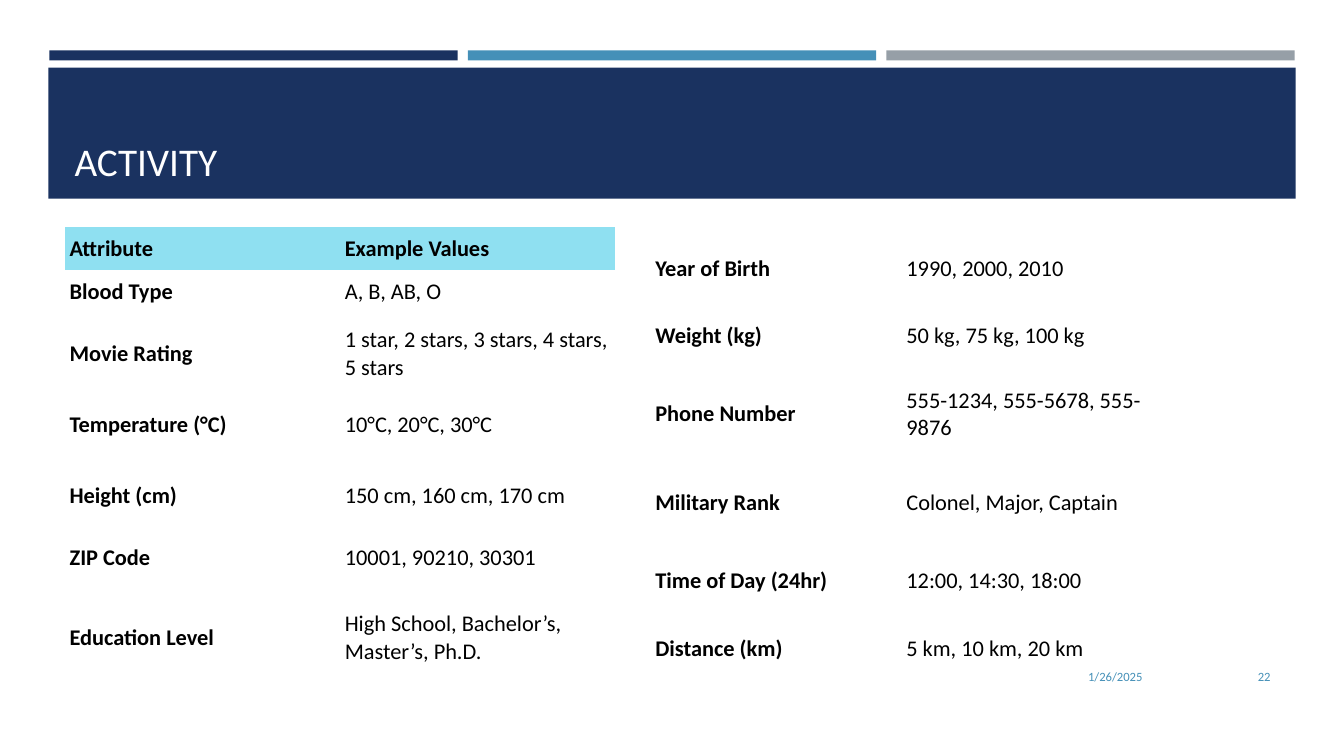
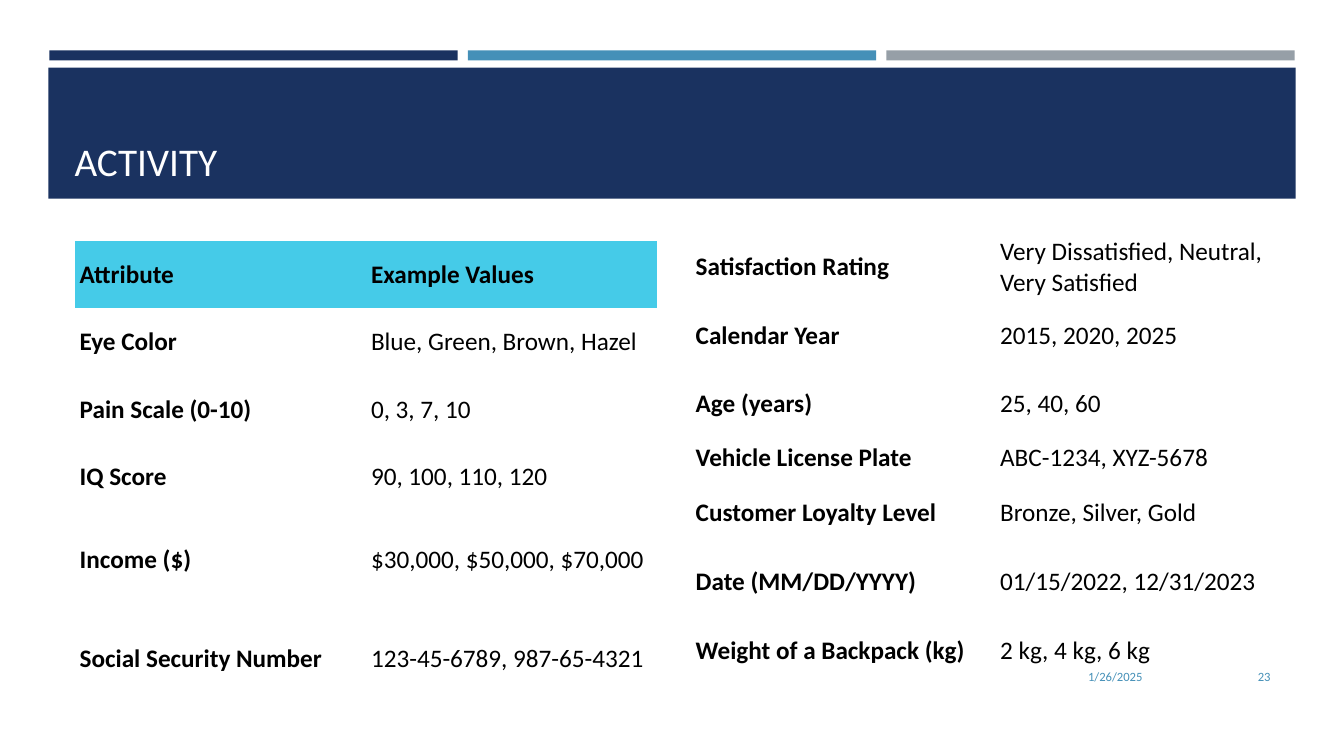
from pptx import Presentation
from pptx.dml.color import RGBColor
from pptx.enum.shapes import MSO_SHAPE
from pptx.enum.text import MSO_ANCHOR, MSO_AUTO_SIZE, PP_ALIGN
from pptx.util import Inches, Pt

RECTANGLE = MSO_SHAPE.RECTANGLE
MIDDLE, BOTTOM = MSO_ANCHOR.MIDDLE, MSO_ANCHOR.BOTTOM
LEFT, RIGHT = PP_ALIGN.LEFT, PP_ALIGN.RIGHT
NO_AUTOFIT = MSO_AUTO_SIZE.NONE

NAVY = RGBColor(0x1A, 0x32, 0x60)
BLUE = RGBColor(0x45, 0x90, 0xB8)
GRAY = RGBColor(0x96, 0x9F, 0xA7)
PALE_CYAN = RGBColor(0x8F, 0xE0, 0xF1)
CYAN = RGBColor(0x45, 0xCB, 0xE8)
WHITE = RGBColor(0xFF, 0xFF, 0xFF)
BLACK = RGBColor(0, 0, 0)

FONT = "Calibri"
PLAIN_TABLE_STYLE = "{2D5ABB26-0587-4C30-8999-92F81FD0307C}"
DATE = "1/26/2025"
HEADING = ("Attribute", "Example Values")

# Content: each table row is (attribute, example values, row height)
ACTIVITIES = [
    {
        "title": "ACTIVITY", "number": "22", "size": 16, "margin": 0.02,
        "tables": [
            {"left": 0.64, "top": 2.25, "column": 2.73, "heading_fill": PALE_CYAN, "rows": [
                (*HEADING, 0.43),
                ("Blood Type", "A, B, AB, O", 0.43),
                ("Movie Rating", "1 star, 2 stars, 3 stars, 4 stars, 5 stars", 0.8),
                ("Temperature (°C)", "10°C, 20°C, 30°C", 0.61),
                ("Height (cm)", "150 cm, 160 cm, 170 cm", 0.8),
                ("ZIP Code", "10001, 90210, 30301", 0.43),
                ("Education Level", "High School, Bachelor’s, Master’s, Ph.D.", 1.16),
            ]},
            {"left": 6.45, "top": 2.33, "column": 2.49, "heading_fill": None, "rows": [
                ("Year of Birth", "1990, 2000, 2010", 0.67),
                ("Weight (kg)", "50 kg, 75 kg, 100 kg", 0.67),
                ("Phone Number", "555-1234, 555-5678, 555-9876", 0.88),
                ("Military Rank", "Colonel, Major, Captain", 0.88),
                ("Time of Day (24hr)", "12:00, 14:30, 18:00", 0.67),
                ("Distance (km)", "5 km, 10 km, 20 km", 0.67),
            ]},
        ],
    },
    {
        "title": "ACTIVITY", "number": "23", "size": 18, "margin": 0.03,
        "tables": [
            {"left": 0.74, "top": 2.39, "column": 2.89, "heading_fill": CYAN, "rows": [
                (*HEADING, 0.67),
                ("Eye Color", "Blue, Green, Brown, Hazel", 0.67),
                ("Pain Scale (0-10)", "0, 3, 7, 10", 0.67),
                ("IQ Score", "90, 100, 110, 120", 0.67),
                ("Income ($)", "$30,000, $50,000, $70,000", 0.98),
                ("Social Security Number", "123-45-6789, 987-65-4321", 0.98),
            ]},
            {"left": 6.85, "top": 2.3, "column": 3.02, "heading_fill": None, "rows": [
                ("Satisfaction Rating", "Very Dissatisfied, Neutral, Very Satisfied", 0.7),
                ("Calendar Year", "2015, 2020, 2025", 0.67),
                ("Age (years)", "25, 40, 60", 0.67),
                ("Vehicle License Plate", "ABC-1234, XYZ-5678", 0.4),
                ("Customer Loyalty Level", "Bronze, Silver, Gold", 0.7),
                ("Date (MM/DD/YYYY)", "01/15/2022, 12/31/2023", 0.67),
                ("Weight of a Backpack (kg)", "2 kg, 4 kg, 6 kg", 0.7),
            ]},
        ],
    },
]

# Shared look: bands, title and footer
STRIPE_LEFT, STRIPE_WIDTH, STRIPE_STEP = 0.49, 4.05, 4.15
BANDS = [(STRIPE_LEFT + i * STRIPE_STEP, 0.5, STRIPE_WIDTH, 0.1, color)
         for i, color in enumerate((NAVY, BLUE, GRAY))]
BANDS.append((0.48, 0.67, 12.37, 1.3, NAVY))
TITLE_BOX = (0.64, 0.77, 12.06, 1.11)
DATE_BOX = (8.32, 6.51, 3.11, 0.4)
NUMBER_BOX = (11.55, 6.51, 1.15, 0.4)
TITLE_FONT = {"name": FONT, "size": Pt(28), "bold": False}
FOOTER_FONT = {"name": FONT, "size": Pt(9), "bold": False}


def write(frame, text, font_format, color, align=LEFT):
    frame.text = text
    paragraph = frame.paragraphs[0]
    paragraph.alignment = align
    font = paragraph.runs[0].font
    for attribute, value in font_format.items():
        setattr(font, attribute, value)
    font.color.rgb = color


def move_bands_to_layout(slide, layout):
    """Draw the bands and place them behind everything in the layout."""
    for position, (*box, color) in enumerate(BANDS, start=2):
        band = slide.shapes.add_shape(RECTANGLE, *map(Inches, box))
        band.shadow.inherit = False
        band.fill.solid()
        band.fill.fore_color.rgb = color
        band.line.fill.background()
        layout.shapes.element.insert(position, band.element)


def add_title(slide, text):
    title = slide.shapes.title
    for side, value in zip(("left", "top", "width", "height"), TITLE_BOX):
        setattr(title, side, Inches(value))
    frame = title.text_frame
    frame.auto_size = NO_AUTOFIT
    frame.vertical_anchor = BOTTOM
    write(frame, text, TITLE_FONT, WHITE)


def add_footer(slide, number):
    for box, text in ((DATE_BOX, DATE), (NUMBER_BOX, number)):
        frame = slide.shapes.add_textbox(*map(Inches, box)).text_frame
        frame.word_wrap = True
        frame.vertical_anchor = MIDDLE
        write(frame, text, FOOTER_FONT, BLUE, RIGHT)


def add_attributes(slide, content, size, margin):
    rows, column = content["rows"], content["column"]
    height = sum(row[-1] for row in rows)
    frame = slide.shapes.add_table(
        len(rows), 2, Inches(content["left"]), Inches(content["top"]),
        Inches(2 * column), Inches(height))
    table = frame.table
    table.horz_banding = False
    table.first_row = content["heading_fill"] is not None
    for style in frame.element.xpath(".//a:tableStyleId"):
        style.text = PLAIN_TABLE_STYLE
    for table_column in table.columns:
        table_column.width = Inches(column)

    cell_format = {
        "vertical_anchor": MIDDLE,
        "margin_left": Inches(0.05), "margin_right": Inches(0.05),
        "margin_top": Inches(margin), "margin_bottom": Inches(margin),
    }
    for r, (*texts, row_height) in enumerate(rows):
        table.rows[r].height = Inches(row_height)
        is_heading = r == 0 and table.first_row
        for c, text in enumerate(texts):
            cell = table.cell(r, c)
            for attribute, value in cell_format.items():
                setattr(cell, attribute, value)
            if is_heading:
                cell.fill.solid()
                cell.fill.fore_color.rgb = content["heading_fill"]
            else:
                cell.fill.background()
            font_format = {"name": FONT, "size": Pt(size), "bold": is_heading or c == 0}
            write(cell.text_frame, text, font_format, BLACK)


def main():
    prs = Presentation()
    prs.slide_width, prs.slide_height = Inches(13.33), Inches(7.5)
    layout = prs.slide_layouts.get_by_name("Title Only")
    for activity in ACTIVITIES:
        slide = prs.slides.add_slide(layout)
        if len(prs.slides) == 1:
            move_bands_to_layout(slide, layout)
        add_title(slide, activity["title"])
        add_footer(slide, activity["number"])
        for content in activity["tables"]:
            add_attributes(slide, content, activity["size"], activity["margin"])
    prs.save("out.pptx")


if __name__ == "__main__":
    main()
